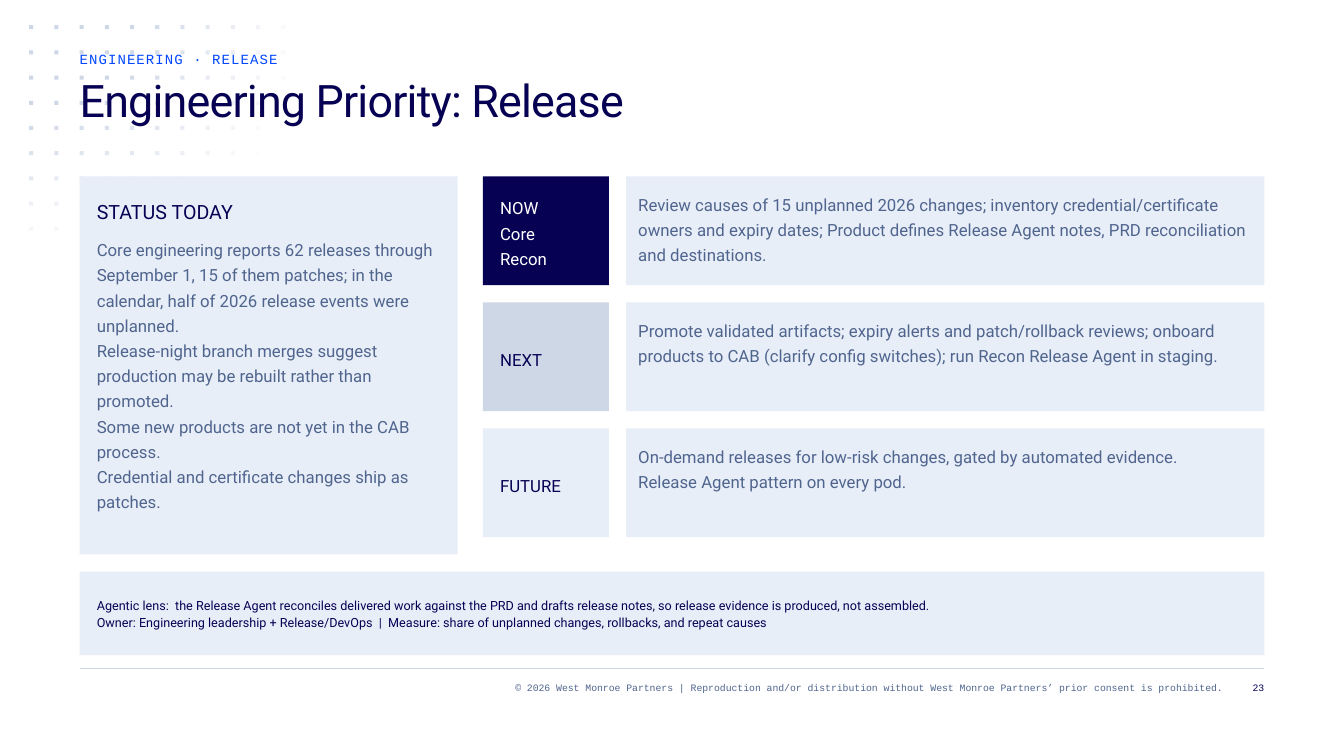
from math import hypot

from lxml import etree
from pptx import Presentation
from pptx.dml.color import RGBColor
from pptx.enum.shapes import MSO_CONNECTOR, MSO_SHAPE
from pptx.enum.text import MSO_ANCHOR, MSO_AUTO_SIZE, PP_ALIGN
from pptx.oxml.ns import qn
from pptx.util import Inches, Pt

RECTANGLE = MSO_SHAPE.RECTANGLE
STRAIGHT = MSO_CONNECTOR.STRAIGHT
TOP = MSO_ANCHOR.TOP
NO_AUTOFIT = MSO_AUTO_SIZE.NONE
LEFT, RIGHT = PP_ALIGN.LEFT, PP_ALIGN.RIGHT


class Theme:
    navy = RGBColor.from_string("070154")
    blue = RGBColor.from_string("0047FF")
    slate = RGBColor.from_string("50658E")
    mist = RGBColor.from_string("CED7E6")
    pale = RGBColor.from_string("E8EEF8")
    white = RGBColor.from_string("FFFFFF")
    sans, mono = "Roboto", "Courier New"
    # Each style: font, size, line spacing, letter spacing in 1/100 pt
    title = (sans, Pt(32), Pt(36), -60)
    kicker = (mono, Pt(10), Pt(12), 80)
    heading = (sans, Pt(14), Pt(21), 0)
    body = (sans, Pt(12), Pt(18), 0)
    note = (sans, Pt(9), Pt(12), 0)
    footer = (mono, Pt(7), Pt(9), 0)


deck = Presentation()
deck.slide_width, deck.slide_height = Inches(13.33), Inches(7.5)
page = deck.slides.add_slide(deck.slide_layouts[5])


def add_panel(left, top, width, height, color):
    panel = page.shapes.add_shape(
        RECTANGLE, Inches(left), Inches(top), Inches(width), Inches(height))
    panel.shadow.inherit = False
    panel.fill.solid()
    panel.fill.fore_color.rgb = color
    panel.line.fill.background()
    return panel


def write(left, top, width, height, lines, style, color, align=LEFT, box=None):
    area = [Inches(length) for length in (left, top, width, height)]
    box = box or page.shapes.add_textbox(*area)
    box.left, box.top, box.width, box.height = area
    frame = box.text_frame
    frame.word_wrap = True
    frame.auto_size = NO_AUTOFIT
    frame.vertical_anchor = TOP
    frame.margin_left = frame.margin_right = 0
    frame.margin_top = frame.margin_bottom = 0
    font, size, spacing, tracking = style
    for index, line in enumerate(lines):
        para = frame.add_paragraph() if index else frame.paragraphs[0]
        para.alignment = align
        para.line_spacing = spacing
        span = para.add_run()
        span.text = line
        span.font.name, span.font.size = font, size
        span.font.color.rgb = color
        if tracking:
            span.font._element.set("spc", str(tracking))


# Dot grid fading away from the top left corner
for column in range(11):
    for row in range(9 if column < 3 else 7):
        opacity = min(100, round(152.7 - hypot(13.8 * column, 16.75 * row)))
        if opacity <= 0:
            continue
        dot = add_panel(0.29 + 0.25 * column, 0.25 + 0.25 * row, 0.04, 0.04, Theme.mist)
        if opacity < 100:
            tint = dot.element.find(".//" + qn("a:srgbClr"))
            etree.SubElement(tint, qn("a:alpha"), val=str(opacity * 1000))

# Footer
rule = page.shapes.add_connector(
    STRAIGHT, Inches(0.79), Inches(6.63), Inches(12.54), Inches(6.63))
rule.line.color.rgb = Theme.mist
rule.line.width = Pt(0.75)
etree.SubElement(rule.element.spPr, qn("a:effectLst"))
write(2.38, 6.75, 9.75, 0.25,
      ["© 2026 West Monroe Partners | Reproduction and/or distribution without "
       "West Monroe Partners’ prior consent is prohibited."],
      Theme.footer, Theme.slate, RIGHT)
write(12.21, 6.75, 0.33, 0.25, ["23"], Theme.footer, Theme.navy, RIGHT)

# Status card
add_panel(0.79, 1.75, 3.75, 3.75, Theme.pale)
write(0.96, 1.92, 3.42, 0.29, ["STATUS TODAY"], Theme.heading, Theme.navy)
write(0.96, 2.33, 3.42, 2.75, [
    "Core engineering reports 62 releases through September 1, 15 of them patches; "
    "in the calendar, half of 2026 release events were unplanned.",
    "Release-night branch merges suggest production may be rebuilt rather than promoted.",
    "Some new products are not yet in the CAB process.",
    "Credential and certificate changes ship as patches.",
], Theme.body, Theme.slate)

# Roadmap: stage label and its actions
stages = [
    (["NOW", "Core", "Recon"], Theme.navy, Theme.white,
     ["Review causes of 15 unplanned 2026 changes; inventory credential/certificate "
      "owners and expiry dates; Product defines Release Agent notes, PRD "
      "reconciliation and destinations."], 0.75),
    (["NEXT"], Theme.mist, Theme.navy,
     ["Promote validated artifacts; expiry alerts and patch/rollback reviews; onboard "
      "products to CAB (clarify config switches); run Recon Release Agent in staging."], 0.5),
    (["FUTURE"], Theme.pale, Theme.navy,
     ["On-demand releases for low-risk changes, gated by automated evidence.",
      "Release Agent pattern on every pod."], 0.5),
]
for index, (label, fill, label_color, actions, actions_height) in enumerate(stages):
    top = 1.75 + 1.25 * index
    label_height = 0.25 * len(label)
    add_panel(4.79, top, 1.25, 1.08, fill)
    write(4.96, top + (1.08 - label_height) / 2, 0.92, label_height,
          label, Theme.body, label_color)
    add_panel(6.21, top, 6.33, 1.08, Theme.pale)
    write(6.33, top + 0.13, 6.08, actions_height, actions, Theme.body, Theme.slate)

# Agentic lens strip
add_panel(0.79, 5.67, 11.75, 0.83, Theme.pale)
write(0.96, 5.92, 11.42, 0.33, [
    "Agentic lens:  the Release Agent reconciles delivered work against the PRD and "
    "drafts release notes, so release evidence is produced, not assembled.",
    "Owner: Engineering leadership + Release/DevOps  |  Measure: share of unplanned "
    "changes, rollbacks, and repeat causes",
], Theme.note, Theme.navy)

# Title and kicker, in front of the dots
title = page.shapes.title
page.shapes.element.append(title.element)
write(0.79, 0.75, 10.25, 1, ["Engineering Priority: Release"],
      Theme.title, Theme.navy, box=title)
write(0.79, 0.5, 10.25, 0.25, ["ENGINEERING · RELEASE"], Theme.kicker, Theme.blue)

deck.save("out.pptx")
